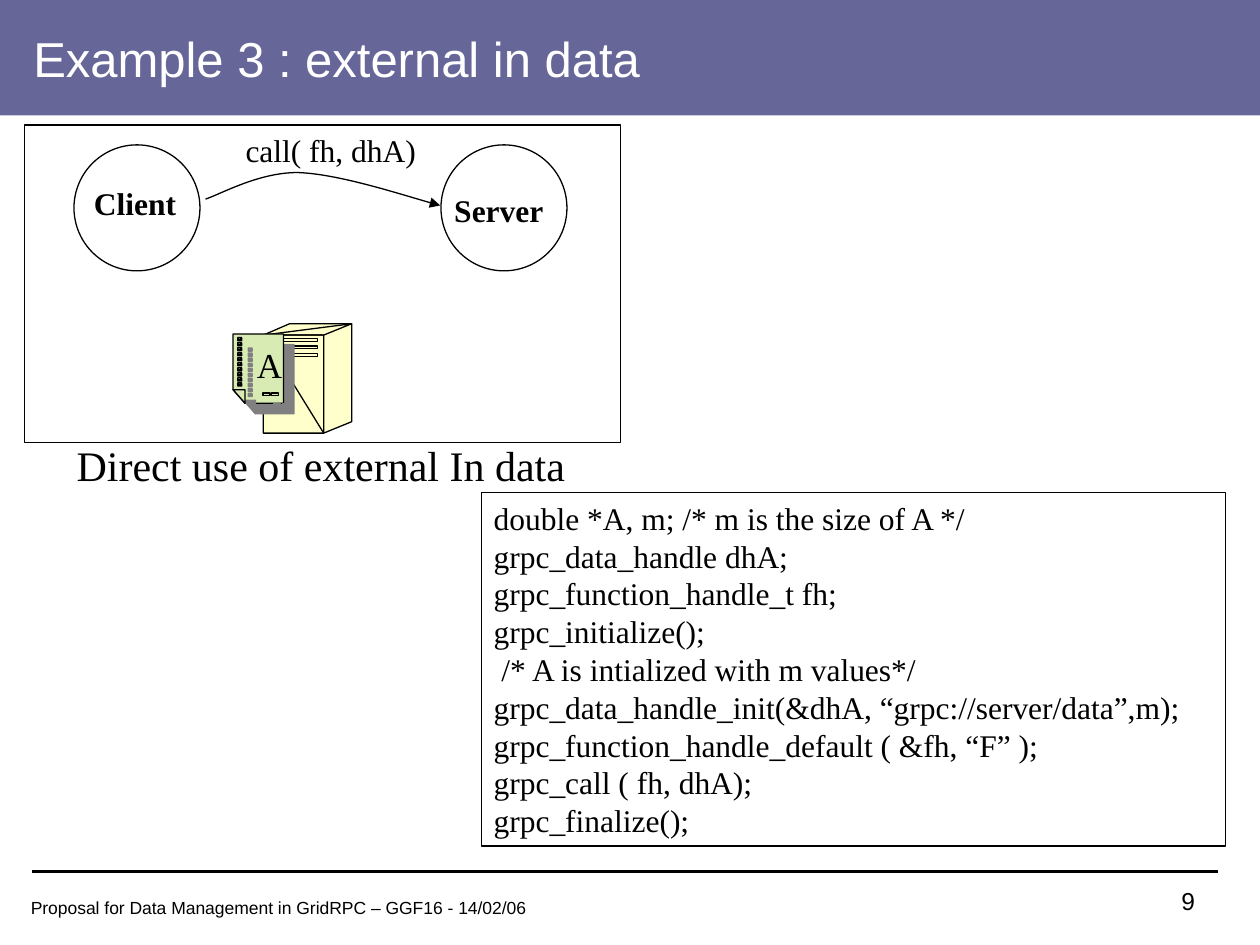
import pptx
import pptx.util
import pptx.dml.color
import pptx.enum.shapes
import pptx.enum.text
import pptx.oxml
import pptx.oxml.ns
from lxml import etree

Pt = pptx.util.Pt
KIND = pptx.enum.shapes.MSO_SHAPE
ALIGN = pptx.enum.text.PP_ALIGN
ANCHOR = pptx.enum.text.MSO_ANCHOR

HUE = {"band": "666699", "ink": "000000", "paper": "FFFFFF",
       "case": "FFFFCC", "page": "D8EBB3", "shade": "808080"}
SANS, SERIF = "Arial", "Times New Roman"

CODE = [
    "double *A, m; /* m is the size of A */",
    "grpc_data_handle dhA;",
    "grpc_function_handle_t fh;",
    "grpc_initialize();",
    " /* A is intialized with m values*/",
    "grpc_data_handle_init(&dhA, “grpc://server/data”,m);",
    "grpc_function_handle_default ( &fh, “F” );",
    "grpc_call ( fh, dhA);",
    "grpc_finalize();",
]


def tint(name):
    return pptx.dml.color.RGBColor.from_string(HUE[name])


def child(node, tag, **attrs):
    item = etree.SubElement(node, pptx.oxml.ns.qn(tag))
    for key, value in attrs.items():
        item.set(key, str(value))
    return item


def paint(shape, fill=None, line="ink"):
    shape.shadow.inherit = False
    if fill:
        shape.fill.solid()
        shape.fill.fore_color.rgb = tint(fill)
    else:
        shape.fill.background()
    if line:
        shape.line.color.rgb = tint(line)
        shape.line.width = Pt(0.75)
    else:
        shape.line.fill.background()


def block(shapes, kind, box, fill=None, line="ink"):
    shape = shapes.add_shape(kind, *map(Pt, box))
    paint(shape, fill, line)
    return shape


def text(shapes, box, lines, size, name=SERIF, hue="ink", bold=False,
         anchor=ANCHOR.TOP, **form):
    frame = shapes.add_textbox(*map(Pt, box)).text_frame
    frame.word_wrap = True
    frame.vertical_anchor = anchor
    face = {"name": name, "size": Pt(size), "bold": bold}
    for i, words in enumerate(lines):
        para = frame.paragraphs[0] if i == 0 else frame.add_paragraph()
        run = para.add_run()
        run.text = words
        for key, value in form.items():
            setattr(para, key, value)
        for key, value in face.items():
            setattr(run.font, key, value)
        run.font.color.rgb = tint(hue)


def outline(shapes, loops, fill=None, close=True):
    """Draw one freeform from a list of point loops."""
    loops = [[(Pt(x), Pt(y)) for x, y in loop] for loop in loops]
    pen = shapes.build_freeform(*loops[0][0])
    for i, loop in enumerate(loops):
        if i:
            pen.move_to(*loop[0])
        pen.add_line_segments(loop[1:], close=close)
    shape = pen.convert_to_shape()
    paint(shape, fill)
    return shape


def bar(x, y, w, h):
    return [(x, y), (x + w, y), (x + w, y + h), (x, y + h)]


def arrow(shapes, start, bends):
    """Draw a curve; each bend is two control points and an end."""
    shape = outline(shapes, [[start] + [bend[2] for bend in bends]], close=False)
    track = shape.element.spPr.find(".//" + pptx.oxml.ns.qn("a:path"))
    for node in track.findall(pptx.oxml.ns.qn("a:lnTo")):
        track.remove(node)
    for bend in bends:
        curve = child(track, "a:cubicBezTo")
        for x, y in bend:
            child(curve, "a:pt", x=Pt(x) - shape.left, y=Pt(y) - shape.top)
    line = shape.element.spPr.find(pptx.oxml.ns.qn("a:ln"))
    child(line, "a:tailEnd", type="triangle")


def rule(shapes, x, y, end):
    line = shapes.add_connector(pptx.enum.shapes.MSO_CONNECTOR.STRAIGHT,
                                Pt(x), Pt(y), Pt(end), Pt(y))
    line.line.color.rgb = tint("ink")
    line.line.width = Pt(1.25)
    child(line.element.spPr, "a:effectLst")


def shade(shape):
    effect = shape.element.spPr.find(pptx.oxml.ns.qn("a:effectLst"))
    drop = child(effect, "a:outerShdw", dist=Pt(8.5), dir=45 * 60000,
                 algn="ctr", rotWithShape=0)
    child(drop, "a:srgbClr", val=HUE["shade"])


def case(shapes):
    """Draw the storage machine."""
    group = shapes.add_group_shape().shapes
    left, edge, right = 150.5, 185, 201
    top, front, base = 185, 191.5, 247.5
    outline(group, [[(left, front), (165.5, top), (right, top),
                     (right, 241), (edge, base), (left, base)]], "case")
    vents = [bar(152.5, 193.5 + 4.3 * i, 29, 1.5) for i in range(3)]
    outline(group, [[(left, front), (edge, front), (right, top)],
                    [(left, front), (edge, front), (edge, base)]] + vents)


def sheet(shapes):
    """Draw the data page A with its fold, marks and holes."""
    group = shapes.add_group_shape().shapes
    left, right, top, base = 133.2, 162, 190.8, 230.4
    fold, lift = 140, 222.7
    loops = [[(left, top), (right, top), (right, base), (fold, base), (left, lift)],
             [(left, lift), (fold, lift), (fold, base)]]
    loops += [bar(x, 224.6, 4, 1.4) for x in (150.2, 155.3)]
    for i in range(10):
        x, y = 135.9, 192.9 + 2.88 * i
        loops.append([(x, y), (x + 2.2, y), (x + 0.9, y + 1.4), (x, y + 0.7),
                      (x + 0.9, y + 1.4), (x + 2.2, y + 0.4),
                      (x + 2.2, y + 1.8), (x, y + 1.8)])
    for loop in loops:
        shade(outline(group, [loop], "page"))
    text(group, (139.7, 193, 19.4, 31.7), ["A"], 20)


def main():
    deck = pptx.Presentation()
    deck.slide_width, deck.slide_height = Pt(720), Pt(540)
    shapes = deck.slides.add_slide(deck.slide_layouts[6]).shapes

    # Title band and footer
    block(shapes, KIND.RECTANGLE, (0, 0, 720, 66), "band", None)
    text(shapes, (642, 504, 48, 24), ["9"], 14, SANS,
         alignment=ALIGN.RIGHT, line_spacing=0.96)
    text(shapes, (6, 510, 306, 30),
         ["Proposal for Data Management in GridRPC – GGF16 - 14/02/06"],
         10, SANS, alignment=ALIGN.CENTER, line_spacing=0.96)
    rule(shapes, 18, 498, 696)
    text(shapes, (12, 11, 612, 44), ["Example 3 : external in data"],
         28, SANS, "paper", anchor=ANCHOR.MIDDLE)

    # Client calls server
    block(shapes, KIND.RECTANGLE, (14, 71.5, 340.5, 181.5))
    for x in (42.3, 252):
        block(shapes, KIND.OVAL, (x, 82.8, 72, 72))
    arrow(shapes, (117.4, 113.8),
          [((126, 111), (147.6, 98.6), (169.9, 98.6)),
           ((193, 99.3), (234.7, 113), (251.5, 117.4))])
    text(shapes, (46.6, 101.5, 68, 29), ["Client"], 18, bold=True)
    text(shapes, (252.5, 105.7, 72, 29), ["Server"], 18, bold=True)

    # External data
    case(shapes)
    sheet(shapes)
    text(shapes, (36.7, 247.7, 304, 36), ["Direct use of external In data"], 24)
    text(shapes, (133.2, 71.5, 120, 29), ["call( fh, dhA)"], 18)

    # Code
    frame = (275, 281.5, 425.5, 202)
    block(shapes, KIND.RECTANGLE, frame)
    text(shapes, frame, CODE, 18)

    deck.save("out.pptx")


if __name__ == "__main__":
    main()
